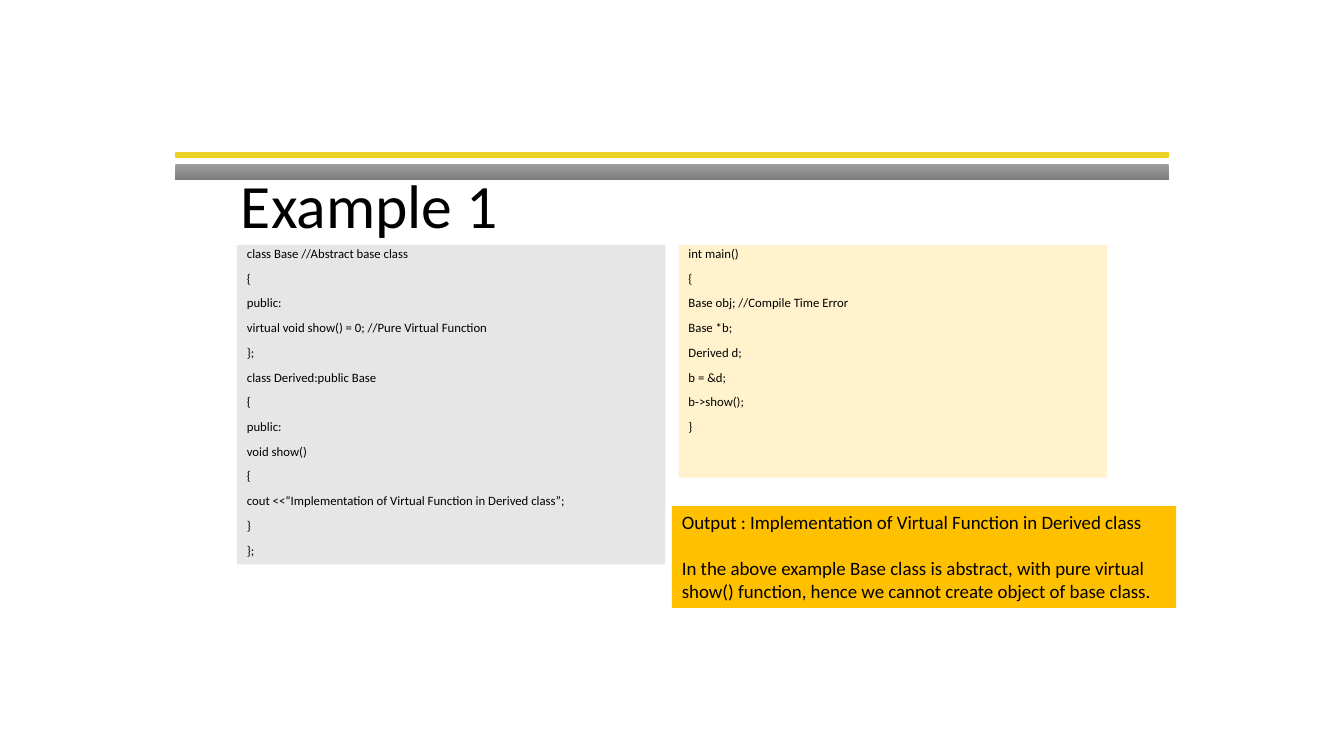
import pptx
import pptx.util
import pptx.dml.color
import pptx.enum.shapes
import pptx.enum.text

Inches, Pt = pptx.util.Inches, pptx.util.Pt
RGBColor = pptx.dml.color.RGBColor
ALIGN = pptx.enum.text.PP_ALIGN
ANCHOR = pptx.enum.text.MSO_ANCHOR

# Content
TITLE = "Example 1"
CLASS_CODE = [
    "class Base //Abstract base class",
    "{",
    "public:",
    "virtual void show() = 0; //Pure Virtual Function",
    "};",
    "class Derived:public Base",
    "{",
    "public:",
    "void show()",
    "{",
    "cout <<“Implementation of Virtual Function in Derived class”;",
    "}",
    "};",
]
MAIN_CODE = [
    "int main()",
    "{",
    "Base obj; //Compile Time Error",
    "Base *b;",
    "Derived d;",
    "b = &d;",
    "b->show();",
    "}",
]
OUTPUT = [
    "Output : Implementation of Virtual Function in Derived class",
    "In the above example Base class is abstract, with pure virtual show() function, "
    "hence we cannot create object of base class.",
]

# Colours and font
BLACK = RGBColor(0x00, 0x00, 0x00)
GREY = RGBColor(0xE7, 0xE6, 0xE6)
CREAM = RGBColor(0xFF, 0xF2, 0xCC)
AMBER = RGBColor(0xFF, 0xC0, 0x00)
YELLOW = RGBColor(0xEE, 0xD1, 0x26)
BAR_COLOURS = [RGBColor(0x9D, 0x9D, 0x9D), RGBColor(0x7C, 0x7C, 0x7C)]
FONT = "Calibri"

# Grid, in inches
WIDTH, HEIGHT = 13.33, 7.5
RAIL_LEFT, RAIL_TOP, RAIL_WIDTH = 1.74, 1.52, 9.85
CODE_LEFT, CODE_TOP, CODE_WIDTH, GUTTER = 2.35, 2.43, 4.25, 0.13


def write(frame, lines, size=9.1, spacing=1.0, gap=0, anchor=ANCHOR.TOP):
    frame.word_wrap = True
    frame.auto_size = pptx.enum.text.MSO_AUTO_SIZE.NONE
    frame.vertical_anchor = anchor
    for index, line in enumerate(lines):
        para = frame.add_paragraph() if index else frame.paragraphs[0]
        para.alignment = ALIGN.LEFT
        para.line_spacing = spacing
        para.space_before = Pt(gap if index else 0)
        span = para.add_run()
        span.text = line
        span.font.name, span.font.size = FONT, Pt(size)
        span.font.color.rgb = BLACK


def add_panel(page, left, top, width, height, colour=None):
    panel = page.shapes.add_shape(
        pptx.enum.shapes.MSO_SHAPE.RECTANGLE,
        Inches(left), Inches(top), Inches(width), Inches(height))
    panel.shadow.inherit = False
    panel.line.fill.background()
    if colour is not None:
        panel.fill.solid()
        panel.fill.fore_color.rgb = colour
    return panel


deck = pptx.Presentation()
deck.slide_width, deck.slide_height = Inches(WIDTH), Inches(HEIGHT)
page = deck.slides.add_slide(deck.slide_layouts[5])

# Title
title = page.shapes.title
title.left, title.top = Inches(2.29), Inches(RAIL_TOP)
title.width, title.height = Inches(8.62), Inches(1.09)
write(title.text_frame, [TITLE], size=44, spacing=0.9, anchor=ANCHOR.MIDDLE)

# Code columns
columns = [(CLASS_CODE, 3.17, GREY), (MAIN_CODE, 2.31, CREAM)]
for column, (code, height, colour) in enumerate(columns):
    left = CODE_LEFT + column * (CODE_WIDTH + GUTTER)
    box = add_panel(page, left, CODE_TOP, CODE_WIDTH, height, colour)
    write(box.text_frame, code, spacing=0.7, gap=10)

# Output note
note = add_panel(page, WIDTH / 2, 5.02, 5, 1.01, AMBER)
write(note.text_frame, OUTPUT, size=13.5, gap=16.5)

# Double rule above the title
rule = add_panel(page, RAIL_LEFT, RAIL_TOP, RAIL_WIDTH, 0.04, YELLOW)
rule.line.color.rgb = YELLOW
rule.line.width = Pt(1)
bar = add_panel(page, RAIL_LEFT, RAIL_TOP + 0.11, RAIL_WIDTH, 0.16)
bar.fill.gradient()
bar.fill.gradient_angle = 270
for stop, colour in zip(bar.fill.gradient_stops, BAR_COLOURS):
    stop.color.rgb = colour

deck.save("out.pptx")
